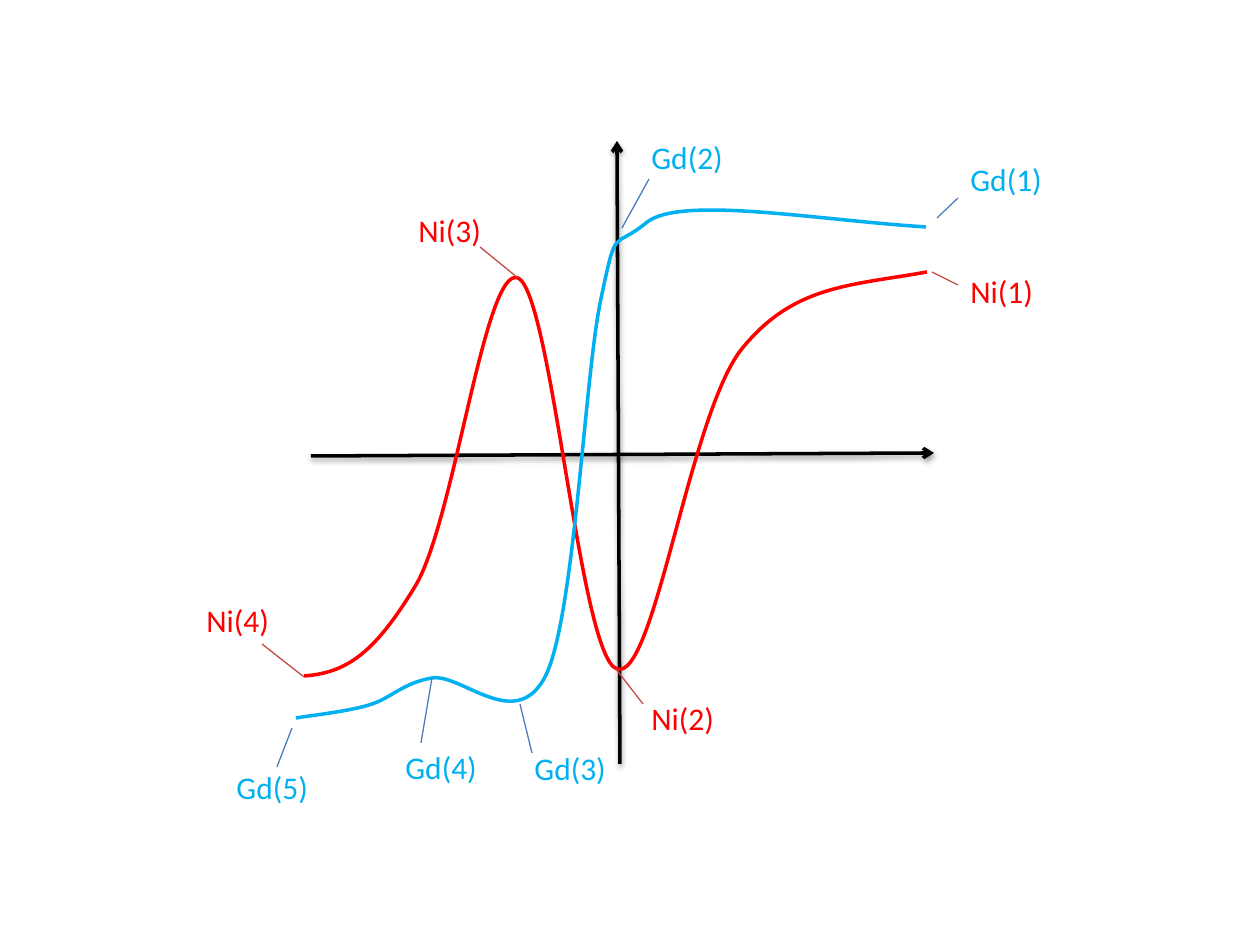
from lxml import etree
from pptx import Presentation
from pptx.dml.color import RGBColor as RGB
from pptx.enum.shapes import MSO_CONNECTOR as CONNECTOR
from pptx.oxml import parse_xml
from pptx.oxml.ns import nsdecls, qn
from pptx.util import Emu, Inches, Pt

SCALE = Inches(10) / 1260
COLORS = {
    "axis": "000000",
    "Ni": "FF0000",
    "Gd": "00B0F0",
    "Ni leader": "BF4C48",
    "Gd leader": "4B7EBC",
}


def px(length):
    return Emu(round(length * SCALE))


def add_line(shapes, ends, color, width):
    line = shapes.add_connector(CONNECTOR.STRAIGHT, *[px(end) for end in ends])
    line.line.color.rgb = RGB.from_string(COLORS[color])
    line.line.width = Pt(width)
    effects = etree.SubElement(line._element.spPr, qn("a:effectLst"))
    return line, effects


deck = Presentation()
deck.slide_width = px(1260)
deck.slide_height = px(945)
page = deck.slides.add_slide(deck.slide_layouts[6])
shapes = page.shapes.add_group_shape().shapes

for ends in [(311, 456, 934, 453), (620, 764, 617, 141)]:
    axis, effects = add_line(shapes, ends, "axis", 2)
    etree.SubElement(axis.line._get_or_add_ln(), qn("a:tailEnd"), type="arrow")
    effects.append(parse_xml(
        f'<a:outerShdw {nsdecls("a")} blurRad="{Pt(3.1)}" dist="{Pt(1.6)}" '
        'dir="5400000" rotWithShape="0"><a:srgbClr val="000000">'
        '<a:alpha val="38000"/></a:srgbClr></a:outerShdw>'))

curves = {
    "Ni": [(927, 272),
           (849, 286), (793, 285), (741, 350),
           (689, 417), (654, 682), (617, 669),
           (580, 658), (552, 294), (518, 278),
           (485, 265), (455, 518), (416, 585),
           (375, 653), (347, 673), (304, 676)],
    "Gd": [(926, 227),
           (816, 220), (679, 195), (646, 223),
           (612, 251), (617, 223), (601, 299),
           (585, 373), (575, 610), (547, 673),
           (518, 736), (462, 673), (432, 678),
           (403, 683), (391, 698), (372, 704),
           (353, 711), (307, 716), (296, 718)],
}
for element, points in curves.items():
    anchors = points[::3]
    left = min(x for x, y in anchors)
    top = min(y for x, y in anchors)
    builder = shapes.build_freeform(*anchors[0], scale=SCALE)
    builder.add_line_segments(anchors[1:], close=False)
    curve = builder.convert_to_shape()
    curve.shadow.inherit = False
    curve.fill.background()
    curve.line.color.rgb = RGB.from_string(COLORS[element])
    curve.line.width = Pt(2)
    segments = list(curve._element.iter(qn("a:lnTo")))
    for index, segment in enumerate(segments):
        segment.tag = qn("a:cubicBezTo")
        segment.clear()
        for x, y in points[3 * index + 1:3 * index + 4]:
            etree.SubElement(segment, qn("a:pt"), x=str(x - left), y=str(y - top))

callouts = [
    ("Gd", 1, (958, 198, 937, 218), (958, 154)),
    ("Gd", 2, (649, 179, 622, 228), (639, 132)),
    ("Gd", 3, (532, 753, 520, 704), (522, 743)),
    ("Gd", 4, (421, 743, 432, 678), (393, 742)),
    ("Gd", 5, (277, 767, 292, 728), (224, 762)),
    ("Ni", 1, (958, 285, 932, 272), (958, 266)),
    ("Ni", 2, (643, 704, 616, 669), (639, 693)),
    ("Ni", 3, (480, 247, 518, 278), (406, 205)),
    ("Ni", 4, (262, 644, 304, 677), (194, 595)),
]
for element, number, ends, corner in callouts:
    add_line(shapes, ends, f"{element} leader", 0.75)
    box = shapes.add_textbox(px(corner[0]), px(corner[1]), px(107), px(50))
    box.text_frame.word_wrap = True
    para = box.text_frame.paragraphs[0]
    span = para.add_run()
    span.text = f"{element}({number})"
    span.font.name = "Calibri"
    span.font.size = Pt(18)
    span.font.color.rgb = RGB.from_string(COLORS[element])

deck.save("out.pptx")
